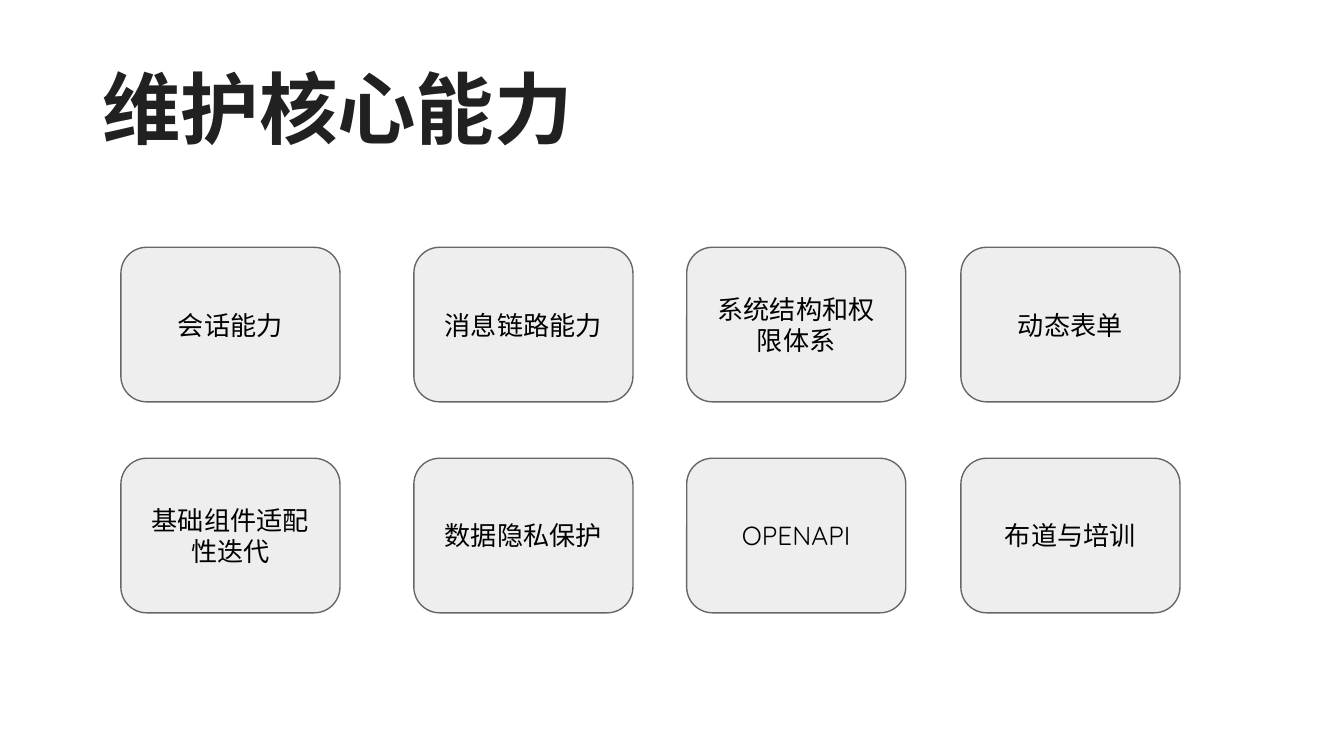
"""Build a slide with a title and a grid of core capability cards."""
from pptx import Presentation
from pptx.dml.color import RGBColor
from pptx.enum.shapes import MSO_SHAPE as Shape
from pptx.enum.text import MSO_ANCHOR as Anchor, MSO_AUTO_SIZE as AutoSize, PP_ALIGN as Align
from pptx.util import Inches, Pt

FONT = "Quicksand"
INK = RGBColor(0x21, 0x21, 0x21)
BLACK = RGBColor(0x00, 0x00, 0x00)
CARD_FILL = RGBColor(0xEE, 0xEE, 0xEE)
CARD_LINE = RGBColor(0x66, 0x66, 0x66)

SLIDE_WIDTH = Inches(10)
SLIDE_HEIGHT = SLIDE_WIDTH * 9 // 16
COLUMNS = (0.9, 3.08, 5.11, 7.15)
ROWS = (1.84, 3.41)
CARD_WIDTH, CARD_HEIGHT = 1.63, 1.15

CAPABILITIES = (
    ("会话能力", "消息链路能力", "系统结构和权限体系", "动态表单"),
    ("基础组件适配性迭代", "数据隐私保护", "OPENAPI", "布道与培训"),
)


def write_text(box, text, size, color, align, inset_x, inset_y, bold=False):
    frame = box.text_frame
    frame.text = text
    frame.word_wrap = True
    frame.auto_size = AutoSize.NONE
    frame.vertical_anchor = Anchor.MIDDLE
    frame.margin_left = frame.margin_right = Inches(inset_x)
    frame.margin_top = frame.margin_bottom = Inches(inset_y)
    para = frame.paragraphs[0]
    para.alignment = align
    para.font.name = FONT
    para.font.size = Pt(size)
    para.font.bold = bold
    para.font.color.rgb = color
    return para


def set_title(page, text):
    title = page.shapes.title
    title.left, title.top = Inches(0.69), Inches(0.3)
    title.width, title.height = Inches(8.62), Inches(1.09)
    para = write_text(title, text, 42, INK, Align.LEFT, 0.07, 0.04, bold=True)
    para.line_spacing = 0.9


def add_card(page, left, top, text):
    card = page.shapes.add_shape(
        Shape.ROUNDED_RECTANGLE,
        Inches(left), Inches(top), Inches(CARD_WIDTH), Inches(CARD_HEIGHT),
    )
    card.shadow.inherit = False
    card.fill.solid()
    card.fill.fore_color.rgb = CARD_FILL
    card.line.color.rgb = CARD_LINE
    card.line.width = Pt(0.75)
    write_text(card, text, 14, BLACK, Align.CENTER, 0.1, 0.1)


def main():
    deck = Presentation()
    deck.slide_width, deck.slide_height = SLIDE_WIDTH, SLIDE_HEIGHT
    page = deck.slides.add_slide(deck.slide_layouts.get_by_name("Title Only"))
    set_title(page, "维护核心能力")
    for top, names in zip(ROWS, CAPABILITIES):
        for left, name in zip(COLUMNS, names):
            add_card(page, left, top, name)
    deck.save("out.pptx")


if __name__ == "__main__":
    main()
